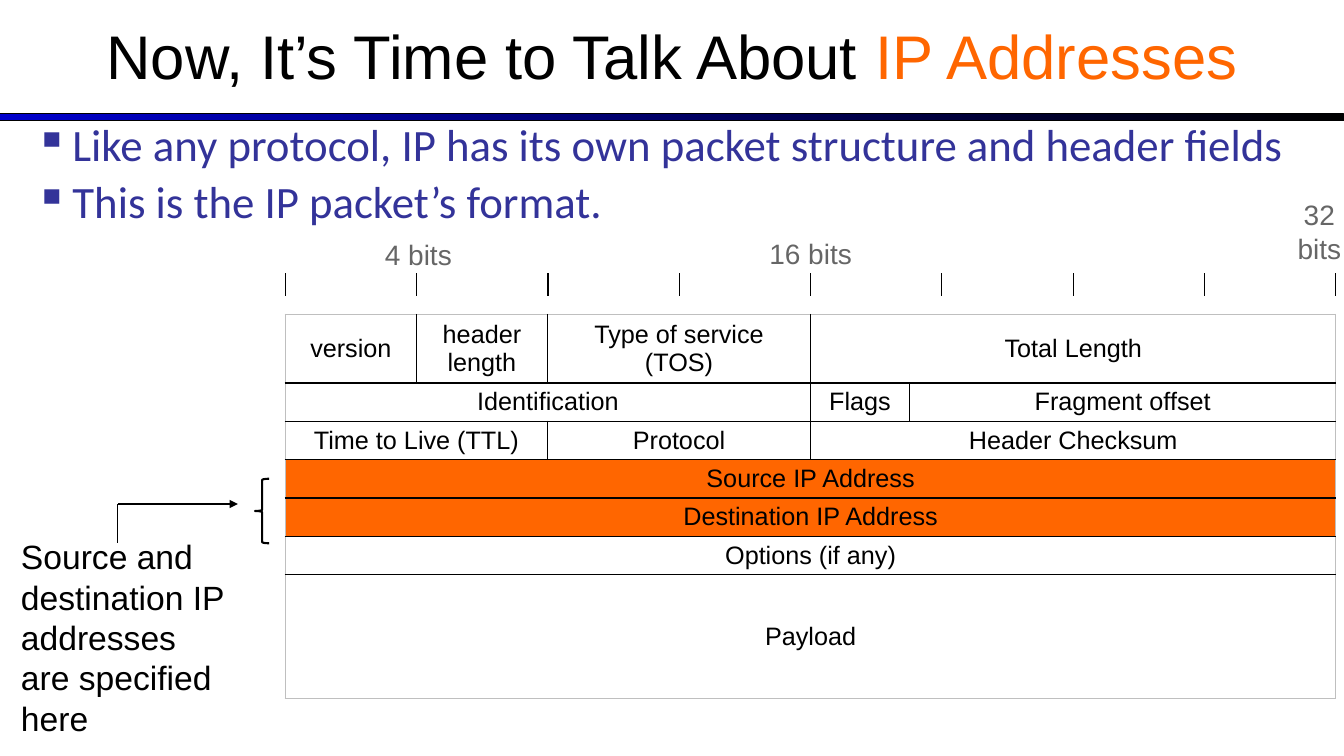
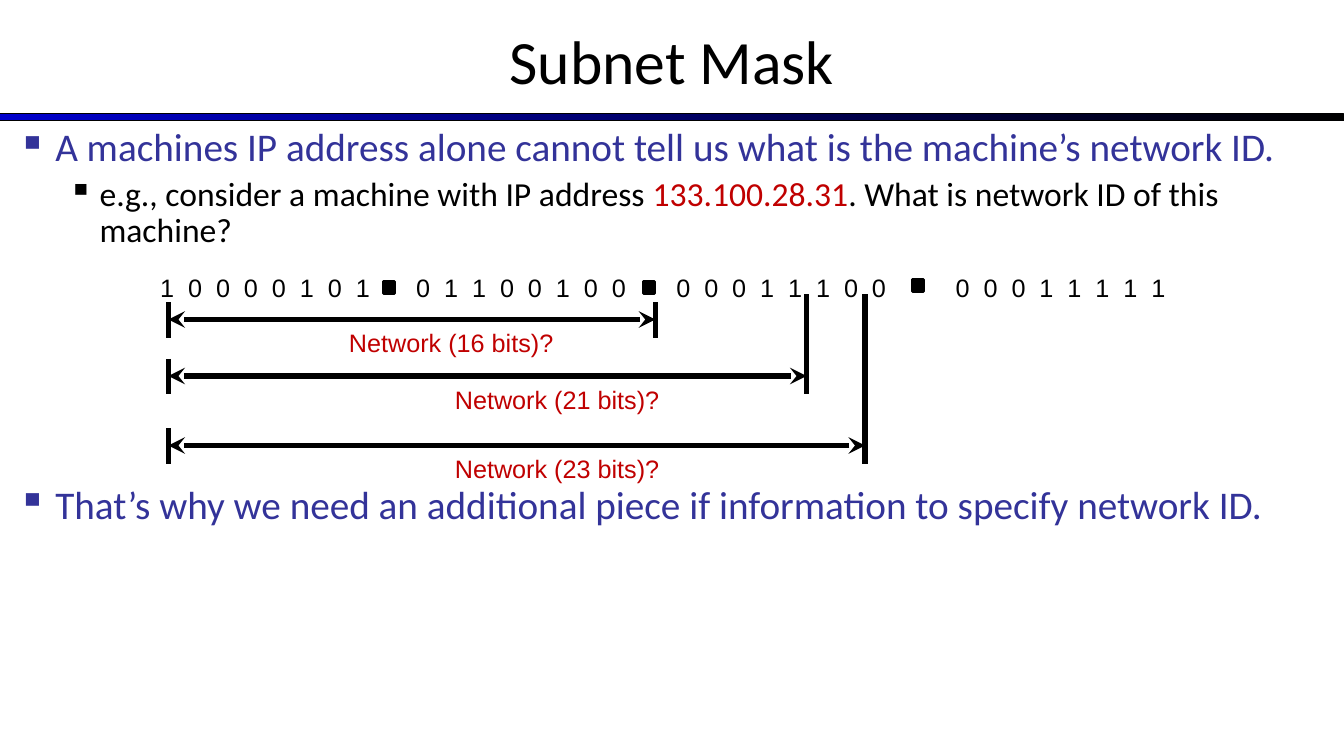
from lxml.etree import SubElement
from pptx import Presentation
from pptx.dml.color import RGBColor
from pptx.enum.shapes import MSO_CONNECTOR, MSO_SHAPE
from pptx.enum.text import MSO_ANCHOR as ANCHOR, PP_ALIGN as ALIGN
from pptx.oxml.ns import qn
from pptx.util import Inches, Pt

COLORS = {"black": "000000", "band": "0000CC", "orange": "FF6600", "indigo": "333399",
          "gray": "666666", "edge": "BFBFBF", "red": "C00000"}
BULLET_LEVELS = [(0.37, -0.37), (0.81, -0.31)]


def rgb(name):
    return RGBColor.from_string(COLORS[name])


def apply(target, **values):
    for name, value in values.items():
        setattr(target, name, value)


class Deck:
    def __init__(self):
        self.presentation = Presentation()
        apply(self.presentation, slide_width=Inches(13.33), slide_height=Inches(7.5))
        self.slide = None

    def new_slide(self, title, **style):
        self.slide = self.presentation.slides.add_slide(self.presentation.slide_layouts[6])
        band = self.shape(MSO_SHAPE.RECTANGLE, (0, 1.13, 13.33, 0.07), 0.75)
        band.fill.gradient()
        band.fill.gradient_angle = 0
        for stop, color in zip(band.fill.gradient_stops, ("band", "black")):
            stop.color.rgb = rgb(color)
        frame = self.text((0, -0.03, 13.33, 1.25), title, size=44, align=ALIGN.CENTER,
                          anchor=ANCHOR.MIDDLE, font=style.pop("font", "Arial"))
        apply(frame.paragraphs[0], **style)

    def shape(self, kind, box, width, fill=None):
        shape = self.slide.shapes.add_shape(kind, *map(Inches, box))
        shape.shadow.inherit = False
        if fill:
            shape.fill.solid()
            shape.fill.fore_color.rgb = rgb(fill)
        else:
            shape.fill.background()
        shape.line.color.rgb = rgb("black")
        shape.line.width = Pt(width)
        return shape

    def runs(self, paragraph, parts, size, color, font="Arial", spacing=0):
        if isinstance(parts, str):
            parts = [(parts, color)]
        for words, part_color in parts:
            run = paragraph.add_run()
            run.text = words
            apply(run.font, size=Pt(size), name=font)
            run.font.color.rgb = rgb(part_color)
            if spacing:
                run._r.get_or_add_rPr().set("spc", str(int(spacing * 100)))

    def frame(self, box, anchor=ANCHOR.TOP):
        frame = self.slide.shapes.add_textbox(*map(Inches, box)).text_frame
        apply(frame, word_wrap=True, vertical_anchor=anchor)
        return frame

    def text(self, box, parts, size=18, color="black", align=ALIGN.LEFT, anchor=ANCHOR.TOP,
             font="Arial", spacing=0):
        frame = self.frame(box, anchor)
        frame.paragraphs[0].alignment = align
        self.runs(frame.paragraphs[0], parts, size, color, font, spacing)
        return frame

    def bullets(self, box, items):
        frame = self.frame(box)
        for index, (level, size, color, parts) in enumerate(items):
            paragraph = frame.add_paragraph() if index else frame.paragraphs[0]
            apply(paragraph, level=level, line_spacing=0.9,
                  space_before=Pt(0.2 * size if index else 0))
            properties = paragraph._p.get_or_add_pPr()
            for name, length in zip(("marL", "indent"), BULLET_LEVELS[level]):
                properties.set(name, str(Inches(length)))
            bullet_color = SubElement(properties, qn("a:buClr"))
            SubElement(bullet_color, qn("a:srgbClr"), val=COLORS[color])
            SubElement(properties, qn("a:buChar"), char="▪")
            self.runs(paragraph, parts, size, color, "Calibri")

    def line(self, start, end, width, head=None, tail=None):
        connector = self.slide.shapes.add_connector(
            MSO_CONNECTOR.STRAIGHT, *map(Inches, (*start, *end)))
        connector.line.color.rgb = rgb("black")
        connector.line.width = Pt(width)
        outline = connector.line._get_or_add_ln()
        for tag, arrow in (("a:headEnd", head), ("a:tailEnd", tail)):
            if arrow:
                SubElement(outline, qn(tag), type=arrow)
        SubElement(connector._element.spPr, qn("a:effectLst"))

    def table(self, box, columns, rows):
        table = self.slide.shapes.add_table(len(rows), len(columns), *map(Inches, box)).table
        apply(table, first_row=False, horz_banding=False)
        for column, width in zip(table.columns, columns):
            column.width = Inches(width)
        for row, height in zip(table.rows, rows):
            row.height = Inches(height)
        return table

    def cell(self, cell, borders, margin, fill=None):
        apply(cell, vertical_anchor=ANCHOR.MIDDLE,
              margin_top=Inches(margin), margin_bottom=Inches(margin))
        properties = cell._tc.get_or_add_tcPr()
        for side, color in zip("LRTB", borders):
            border = SubElement(properties, qn(f"a:ln{side}"), w=str(Pt(1 if color else 0)))
            if color:
                solid = SubElement(border, qn("a:solidFill"))
                SubElement(solid, qn("a:srgbClr"), val=COLORS[color])
            else:
                SubElement(border, qn("a:noFill"))
        if fill:
            cell.fill.solid()
            cell.fill.fore_color.rgb = rgb(fill)
        else:
            cell.fill.background()

    def packet(self, box, columns, rows, fields, highlighted):
        table = self.table(box, columns, rows)
        for row, row_fields in enumerate(fields):
            column = 0
            for label, span in row_fields:
                cell = table.cell(row, column)
                end = column + span
                if span > 1:
                    cell.merge(table.cell(row, end - 1))
                on_edge = (column == 0, end == len(columns), row == 0, row == len(rows) - 1)
                self.cell(cell, ["edge" if edge else "black" for edge in on_edge], 0.04,
                          "orange" if label in highlighted else None)
                for index, words in enumerate(label.split("\n")):
                    frame = cell.text_frame
                    paragraph = frame.add_paragraph() if index else frame.paragraphs[0]
                    paragraph.alignment = ALIGN.CENTER
                    self.runs(paragraph, words, 18, "black")
                column = end

    def ruler(self, box, count):
        table = self.table(box, [box[2] / count] * count, [box[3]])
        for cell in table.iter_cells():
            self.cell(cell, ("black", "black", None, None), 0)
            cell.text_frame.paragraphs[0]._p.get_or_add_endParaRPr().set("sz", "100")


def build_addresses(deck):
    deck.new_slide([("Now, It’s Time to Talk About ", "black"), ("IP Addresses", "orange")],
                   line_spacing=0.9)
    deck.packet(
        (2.83, 3.12, 10.42, 3.78), [1.3, 1.3, 2.61, 0.98, 4.23], [0.65] + [0.38] * 5 + [1.23],
        [[("version", 1), ("header\nlength", 1), ("Type of service (TOS)", 1),
          ("Total Length", 2)],
         [("Identification", 3), ("Flags", 1), ("Fragment offset", 1)],
         [("Time to Live (TTL)", 2), ("Protocol", 1), ("Header Checksum", 2)],
         [("Source IP Address", 5)],
         [("Destination IP Address", 5)],
         [("Options (if any)", 5)],
         [("Payload", 5)]],
        ("Source IP Address", "Destination IP Address"))
    deck.ruler((2.83, 2.71, 10.42, 0.23), 8)
    for label, box in (("4 bits", (3.63, 2.31, 1.04, 0.44)),
                       ("16 bits", (7.52, 2.3, 1.04, 0.44)),
                       ("32 bits", (12.69, 1.91, 0.79, 0.77))):
        deck.text(box, label, size=20, color="gray", align=ALIGN.CENTER)
    deck.bullets((0.25, 1.17, 12.83, 1.2), [
        (0, 32, "indigo", "Like any protocol, IP has its own packet structure and header fields"),
        (0, 32, "indigo", "This is the IP packet’s format.")])
    deck.text((0.11, 5.27, 2.25, 2.12),
              "Source and destination IP addresses are specified here", size=24)
    deck.shape(MSO_SHAPE.LEFT_BRACE, (2.53, 4.75, 0.14, 0.64), 1.5)
    corner = (1.17, 5)
    deck.line(corner, (2.36, 5), 0.75, tail="triangle")
    deck.line(corner, (1.17, 5.39), 0.75)


def build_subnet_mask(deck):
    deck.new_slide("Subnet Mask", font="Calibri")
    deck.bullets((0.08, 1.22, 13, 1.4), [
        (0, 28, "indigo",
         "A machines IP address alone cannot tell us what is the machine’s network ID."),
        (1, 24, "black", [("e.g., consider a machine with IP address ", "black"),
                          ("133.100.28.31", "red"),
                          (". What is network ID of this machine?", "black")])])
    deck.bullets((0.08, 4.77, 13, 0.6), [
        (0, 28, "indigo",
         "That’s why we need an additional piece if information to specify network ID.")])
    for left, width, octet in ((1.17, 2.92, 133), (3.92, 2.5, 100),
                               (6.5, 2.5, 28), (9.21, 2.62, 31)):
        deck.text((left, 2.67, width, 0.37), " ".join(f"{octet:08b}"),
                  align=ALIGN.CENTER, anchor=ANCHOR.MIDDLE, spacing=2.5)
    for left, top in ((3.8, 2.79), (6.38, 2.79), (9.05, 2.77)):
        deck.shape(MSO_SHAPE.RECTANGLE, (left, top, 0.11, 0.12), 2, "black")
    start = 1.67
    for bits, end, middle, end_top, label_left in ((23, 8.58, 4.42, 2.92, 4.3),
                                                   (21, 8, 3.73, 2.92, 4.3),
                                                   (16, 6.5, 3.17, 3, 3.25)):
        bottom = middle + 0.18
        deck.line((start, middle - 0.17), (start, bottom), 4)
        deck.line((end, middle), (start, middle), 4, "stealth", "stealth")
        deck.line((end, end_top), (end, bottom), 4)
        deck.text((label_left, middle + 0.03, 2.45, 0.4), f"Network ({bits} bits)?",
                  color="red", align=ALIGN.CENTER)


def main():
    deck = Deck()
    build_addresses(deck)
    build_subnet_mask(deck)
    deck.presentation.save("out.pptx")


if __name__ == "__main__":
    main()
